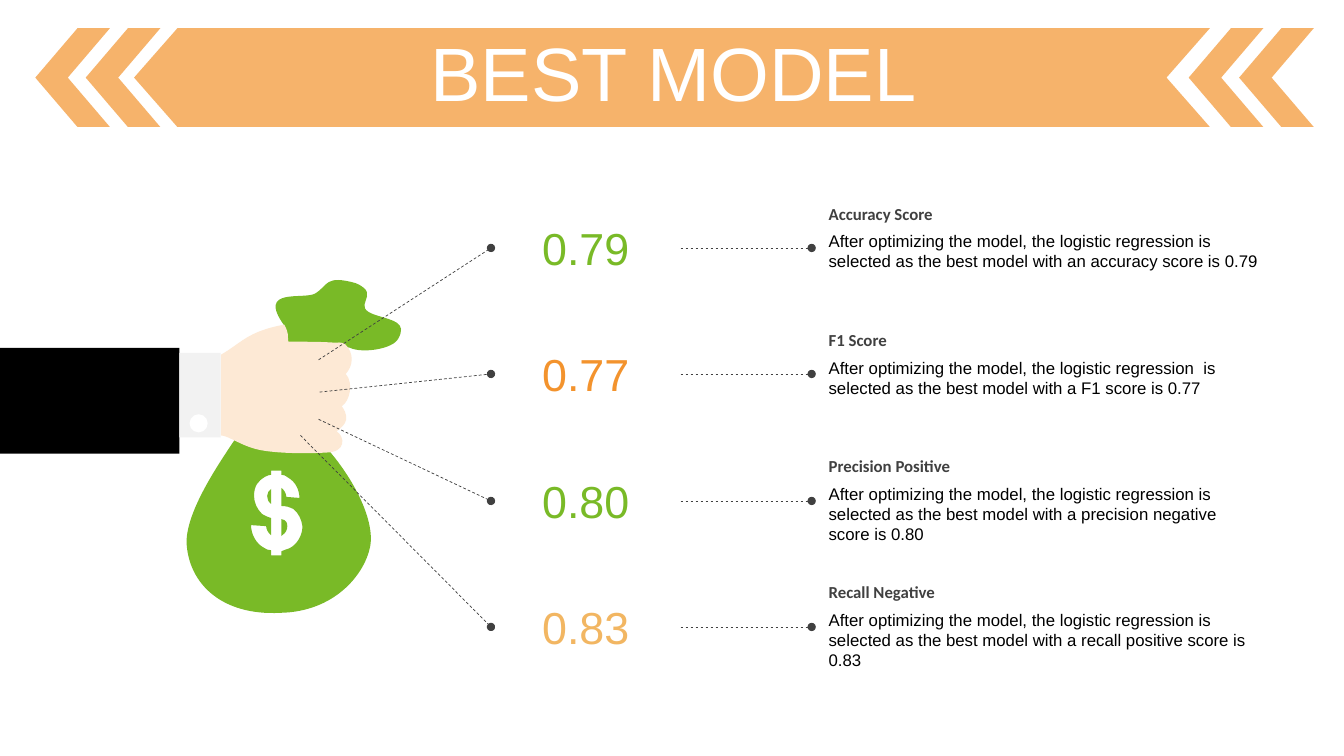
from lxml import etree
from pptx import Presentation
from pptx.dml.color import RGBColor
from pptx.enum.dml import MSO_LINE
from pptx.enum.shapes import MSO_CONNECTOR, MSO_SHAPE
from pptx.enum.text import MSO_ANCHOR, MSO_AUTO_SIZE, PP_ALIGN
from pptx.oxml.ns import qn
from pptx.util import Pt

PX = 9144
RECT, OVAL, CHEVRON = MSO_SHAPE.RECTANGLE, MSO_SHAPE.OVAL, MSO_SHAPE.CHEVRON
STRAIGHT, DASH = MSO_CONNECTOR.STRAIGHT, MSO_LINE.DASH
LEFT, CENTER = PP_ALIGN.LEFT, PP_ALIGN.CENTER
TOP, MIDDLE = MSO_ANCHOR.TOP, MSO_ANCHOR.MIDDLE
GROW, FIXED = MSO_AUTO_SIZE.SHAPE_TO_FIT_TEXT, MSO_AUTO_SIZE.NONE
LEFT_SIDE, RIGHT_SIDE = 1, 3

ORANGE = RGBColor(0xF3, 0x93, 0x2D)
SAND = RGBColor(0xF2, 0xB6, 0x62)
GREEN = RGBColor(0x79, 0xBA, 0x27)
SKIN = RGBColor(0xFD, 0xE9, 0xD5)
CUFF = RGBColor(0xF2, 0xF2, 0xF2)
GREY = RGBColor(0x40, 0x40, 0x40)
BLACK = RGBColor(0, 0, 0)
WHITE = RGBColor(0xFF, 0xFF, 0xFF)

BANNER = [[(176, 28), (1200, 28), (1157, 77), (1200, 126), (176, 126), (133, 77)]]
BAG = [
    [(279, 515), (280, 516, 281, 516, 282, 516), (285, 518, 285, 520, 285, 522),
     (285, 526, 283, 529, 280, 531), (279, 531, 279, 532, 279, 532)],
    [(269, 485), (269, 500), (266, 498, 265, 495, 265, 492),
     (265, 489, 267, 486, 269, 485)],
    [(269, 467), (269, 471), (267, 471, 265, 472, 263, 473),
     (256, 477, 252, 482, 252, 492), (252, 499, 255, 505, 260, 510),
     (263, 512, 266, 513, 269, 514), (269, 531), (266, 529, 264, 525, 264, 522),
     (249, 521), (249, 530, 254, 539, 261, 543), (264, 545, 266, 546, 269, 546),
     (269, 551), (279, 551), (279, 547), (281, 546, 284, 545, 287, 544),
     (295, 540, 300, 531, 300, 522), (299, 515, 296, 509, 291, 505),
     (287, 503, 284, 502, 279, 502), (279, 484), (282, 486, 284, 490, 284, 493),
     (297, 494), (297, 486, 293, 478, 286, 474), (284, 472, 281, 471, 279, 471),
     (279, 467)],
    [(241, 424), (273, 424, 281, 427, 316, 436), (346, 466, 373, 514, 367, 543),
     (361, 571, 331, 607, 278, 608), (221, 611, 187, 580, 185, 538),
     (185, 502, 227, 446, 241, 424)],
]
BAG_TOP = [
    [(353, 281), (322, 272, 325, 284, 313, 291), (302, 298, 254, 284, 282, 323),
     (284, 339, 285, 330, 284, 341), (295, 339, 326, 340, 347, 345),
     (360, 351, 390, 346, 395, 336), (404, 320, 390, 318, 374, 313),
     (344, 304, 381, 293, 353, 281)],
]
HAND = [
    [(334, 428), (338, 424, 350, 418, 339, 403), (347, 398, 351, 380, 343, 371),
     (350, 363, 352, 351, 342, 341), (336, 339, 336, 340, 333, 340),
     (319, 339, 302, 339, 286, 339), (285, 332, 287, 332, 282, 322),
     (245, 329, 240, 340, 219, 352), (219, 432), (227, 432, 241, 444, 261, 447),
     (279, 450, 307, 450, 323, 449), (344, 449, 342, 433, 334, 428)],
]
SCORES = [
    ("0.79", GREEN, (316, 357), "Accuracy Score", 2,
     "After optimizing the model, the logistic regression is selected as the best model with an accuracy score is 0.79"),
    ("0.77", ORANGE, (317, 389), "F1 Score", 2,
     "After optimizing the model, the logistic regression  is selected as the best model with a F1 score is 0.77"),
    ("0.80", GREEN, (316, 416), "Precision Positive", 3,
     "After optimizing the model, the logistic regression is selected as the best model with a precision negative score is 0.80"),
    ("0.83", SAND, (298, 432), "Recall Negative", 3,
     "After optimizing the model, the logistic regression is selected as the best model with a recall positive score is 0.83"),
]
HEADING_TOP, BODY_TOP, LEADER_Y, ROW_GAP = 197, 224.7, 246.4, 125.33


def segment_points(seg):
    """Split a flat segment into its points in EMU."""
    return [(x * PX, y * PX) for x, y in zip(seg[::2], seg[1::2])]


class Deck:
    """Hold the presentation's style and its current slide."""

    def __init__(self, width, height):
        self.prs = Presentation()
        self.prs.slide_width, self.prs.slide_height = width * PX, height * PX
        self.s = self.prs.slides.add_slide(self.prs.slide_layouts[6])

    def paint(self, sp, color, opacity=100):
        """Give a shape a plain fill without line or shadow."""
        sp.shadow.inherit = False
        sp.line.fill.background()
        sp.fill.solid()
        sp.fill.fore_color.rgb = color
        if opacity < 100:
            clr = sp.fill._xPr.find(".//" + qn("a:srgbClr"))
            etree.SubElement(clr, qn("a:alpha"), val=str(opacity * 1000))
        return sp

    def shape(self, kind, x, y, w, h, color, opacity=100):
        """Add a preset shape."""
        sp = self.s.shapes.add_shape(kind, x * PX, y * PX, w * PX, h * PX)
        return self.paint(sp, color, opacity)

    def chevron(self, x):
        """Add a banner chevron that points left."""
        sp = self.shape(CHEVRON, x, 28, 74, 98, ORANGE, 70)
        sp.adjustments[0] = 0.565
        sp.rotation = 180

    def outline(self, contours, color, opacity=100):
        """Add a closed outline of lines and cubic curves, with holes where contours nest."""
        fb = self.s.shapes.build_freeform(*segment_points(contours[0][0])[0], scale=1.0)
        for i, (start, *segs) in enumerate(contours):
            if i:
                fb.move_to(*segment_points(start)[0])
            fb.add_line_segments([pt for seg in segs for pt in segment_points(seg)])
            fb.add_line_segments([], close=True)
        sp = fb.convert_to_shape()
        lines = iter(list(sp._element.iter(qn("a:lnTo"))))
        for seg in (seg for contour in contours for seg in contour[1:]):
            line = next(lines)
            if len(seg) == 6:
                line.addprevious(curve := etree.Element(qn("a:cubicBezTo")))
                for ln in (line, next(lines), next(lines)):
                    curve.append(ln[0])
                    ln.getparent().remove(ln)
        return self.paint(sp, color, opacity)

    def text(self, text, x, y, w, h, *, size=12, font="Arial", color=BLACK, bold=False,
             align=LEFT, anchor=TOP, fit=GROW, before=0, spacing=1.0):
        """Add a text box with one formatted paragraph."""
        sp = self.s.shapes.add_textbox(x * PX, y * PX, w * PX, h * PX)
        tf = sp.text_frame
        tf.word_wrap, tf.auto_size, tf.vertical_anchor = True, fit, anchor
        p = tf.paragraphs[0]
        p.alignment, p.space_before, p.line_spacing = align, Pt(before), spacing
        r = p.add_run()
        r.text = text
        r.font.size, r.font.name, r.font.bold = Pt(size), font, bold
        r.font.color.rgb = color
        return sp

    def leader(self, start, end):
        """Add a dashed line with a dot at its end."""
        cx = self.s.shapes.add_connector(STRAIGHT, *(v * PX for v in (*start, *end)))
        cx.line.color.rgb = GREY
        cx.line.width = Pt(0.5)
        cx.line.dash_style = DASH
        etree.SubElement(cx.line._get_or_add_ln(), qn("a:tailEnd"), type="oval")
        etree.SubElement(cx._element.spPr, qn("a:effectLst"))
        return cx

    def score(self, row, value, color, origin, heading, lines, body):
        """Add a score with its leaders, heading and explanation."""
        heading_y, body_y, y = (int(top + row * ROW_GAP)
                                for top in (HEADING_TOP, BODY_TOP, LEADER_Y))
        box = self.text(value, 487, y - 32, 188, 64, size=32, color=color, align=CENTER)
        self.leader(origin, (487, y)).end_connect(box, LEFT_SIDE)
        self.leader((675, y), (805, y)).begin_connect(box, RIGHT_SIDE)
        self.text(heading, 812, heading_y, 448, 30, font="Calibri", color=GREY, bold=True)
        self.text(body, 812, body_y, 448, 8 + 21 * lines)


def main():
    deck = Deck(1333, 750)
    for x in (35, 85, 1179, 1229):
        deck.chevron(x)
    deck.outline(BANNER, ORANGE, 70)
    deck.outline(BAG, GREEN)
    deck.outline(BAG_TOP, GREEN)
    deck.outline(HAND, SKIN)
    deck.shape(RECT, 0, 345, 178, 105, BLACK)
    deck.shape(RECT, 178, 350, 41, 84, CUFF)
    deck.shape(OVAL, 188, 411, 18, 18, WHITE)
    deck.text("BEST MODEL", 35, 37, 1266, 79, size=54, color=WHITE, align=CENTER,
              anchor=MIDDLE, fit=FIXED, before=10, spacing=0.9)
    for row, score in enumerate(SCORES):
        deck.score(row, *score)
    deck.prs.save("out.pptx")


if __name__ == "__main__":
    main()
